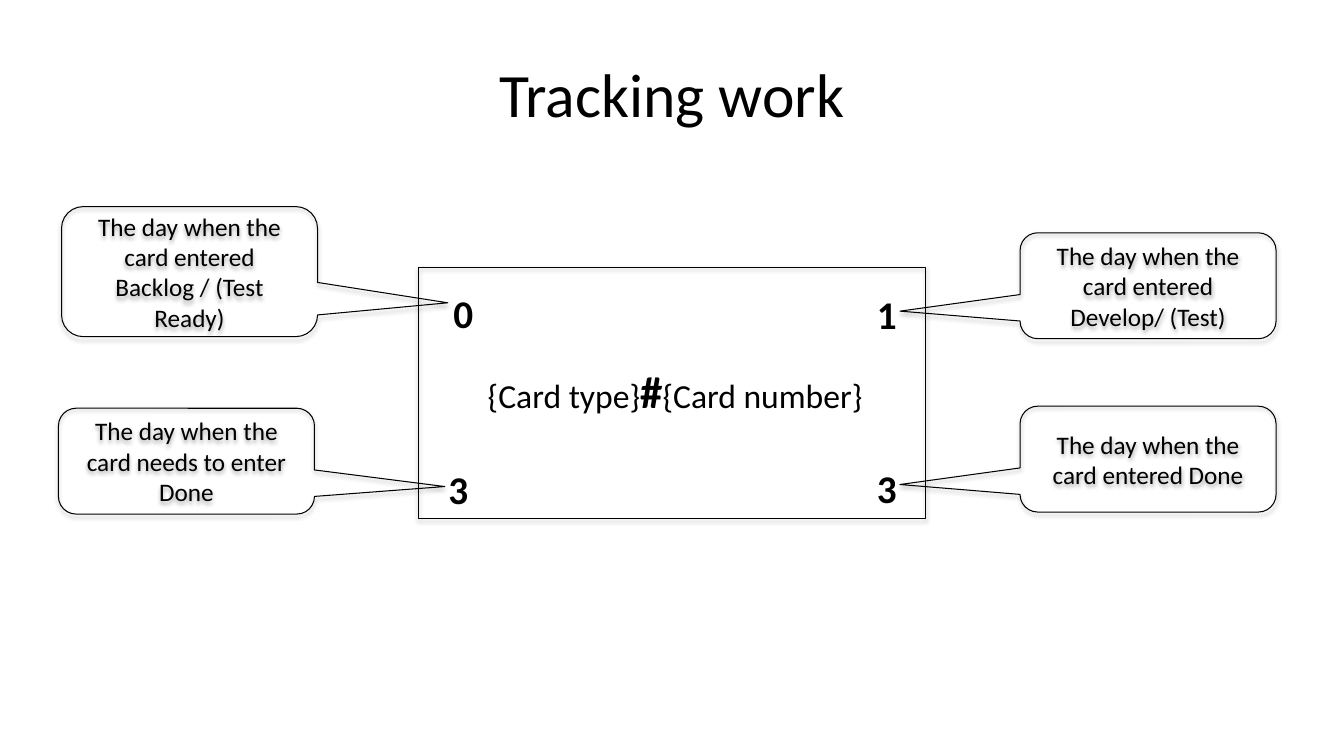
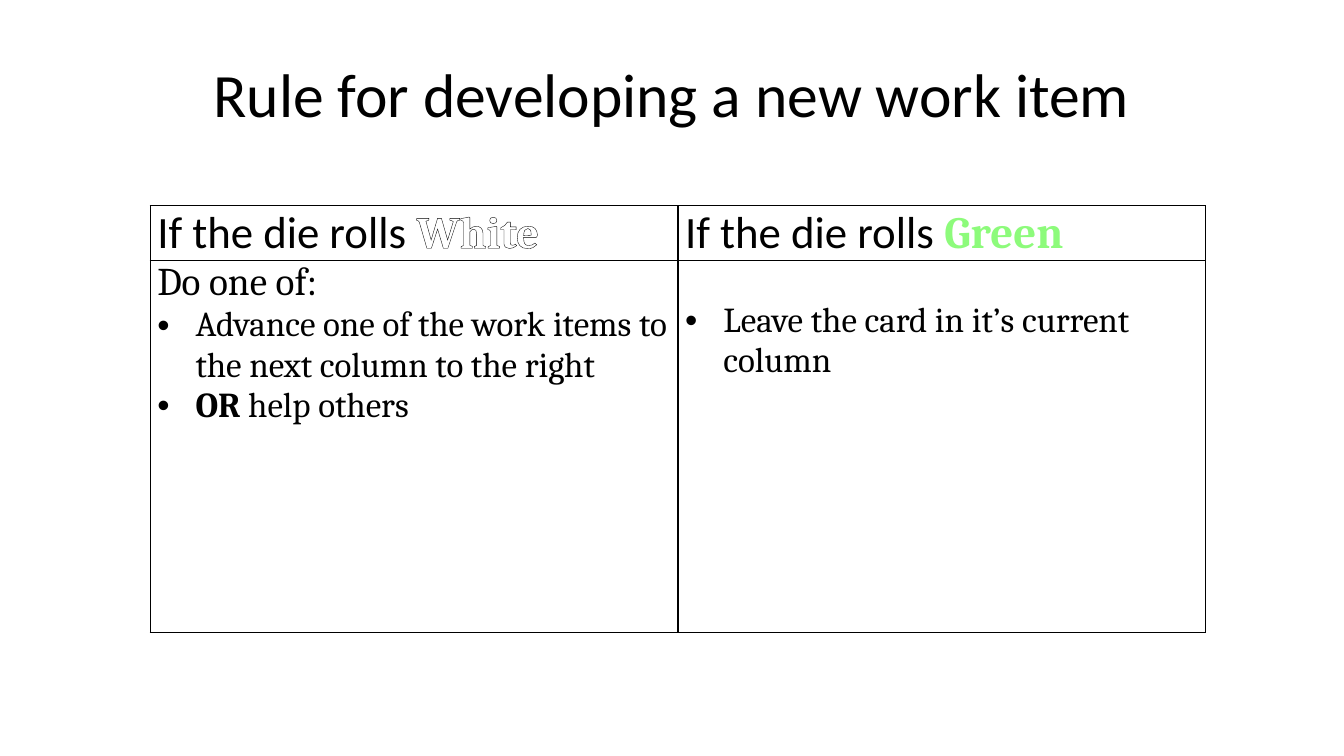
"""Build two slides: tracking work on a card, and the rule for a new work item."""
import dataclasses

import lxml.etree
import pptx
import pptx.dml.color
import pptx.enum.shapes
import pptx.enum.text
import pptx.oxml
import pptx.oxml.ns
import pptx.util


@dataclasses.dataclass(frozen=True)
class Theme:
    sans: str = "Calibri"
    serif: str = "Cambria"
    black: str = "000000"
    white: str = "FFFFFF"
    green: str = "8DFB7B"
    title: int = 44
    heading: int = 32
    lead: int = 28
    item: int = 25
    body: int = 24
    note: int = 18
    line: float = 0.75
    border: float = 1


theme = Theme()
namespace = pptx.oxml.ns.nsdecls("a")
qn = pptx.oxml.ns.qn
rgb = pptx.dml.color.RGBColor.from_string
center = pptx.enum.text.PP_ALIGN.CENTER
middle = pptx.enum.text.MSO_ANCHOR.MIDDLE

deck = pptx.Presentation()
deck.slide_width = pptx.util.Inches(13.33)
deck.slide_height = pptx.util.Inches(7.5)


def place(left, top, width, height):
    """Turn percentages of the slide into left, top, width and height."""
    across, down = deck.slide_width / 100, deck.slide_height / 100
    return [round(left * across), round(top * down), round(width * across), round(height * down)]


def style(font, size, name=theme.sans, bold=False, color=theme.black):
    """Format the font of a paragraph or a run."""
    font.size = pptx.util.Pt(size)
    font.name = name
    font.bold = bold
    font.color.rgb = rgb(color)


pages = []
for heading in ["Tracking work", "Rule for developing a new work item"]:
    page = deck.slides.add_slide(deck.slide_layouts[5])
    title = page.shapes.title
    title.left, title.top, title.width, title.height = place(5, 4, 90, 16.67)
    title.text_frame.text = heading
    title.text_frame.vertical_anchor = middle
    para = title.text_frame.paragraphs[0]
    para.alignment = center
    style(para.font, theme.title)
    pages.append(page)
tracking, rule = pages

rectangle = pptx.enum.shapes.MSO_SHAPE.RECTANGLE
callout = pptx.enum.shapes.MSO_SHAPE.ROUNDED_RECTANGULAR_CALLOUT
points_left, points_right = -0.969, 1.009
outlined = [
    (rectangle, (31.13, 35.33, 37.73, 33.2), None, ""),
    (callout, (75.9, 30.8, 19.05, 14), points_left, "The day when the card entered Develop/ (Test)"),
    (callout, (4.35, 54, 19.05, 14), points_right, "The day when the card needs to enter Done"),
    (callout, (4.58, 27.33, 19.05, 17.2), points_right, "The day when the card entered Backlog / (Test Ready)"),
    (callout, (75.9, 53.73, 19.05, 14), points_left, "The day when the card entered Done"),
]
for kind, area, tip, words in outlined:
    shape = tracking.shapes.add_shape(kind, *place(*area))
    shape.fill.background()
    shape.line.color.rgb = rgb(theme.black)
    shape.line.width = pptx.util.Pt(theme.line)
    shape.shadow.inherit = False
    shape._element.spPr.find(qn("a:effectLst")).append(pptx.oxml.parse_xml(
        f'<a:outerShdw {namespace} blurRad="40000" dist="23000" dir="5400000" rotWithShape="0">'
        f'<a:srgbClr val="{theme.black}"><a:alpha val="35000"/></a:srgbClr></a:outerShdw>'))
    if words:
        shape.adjustments[0] = tip
        shape.adjustments[1] = 0.24
        shape.text_frame.text = words
        shape.text_frame.vertical_anchor = middle
        para = shape.text_frame.paragraphs[0]
        para.alignment = center
        style(para.font, theme.note)

box = tracking.shapes.add_textbox(*place(35.55, 47.47, 31.58, 8.53))
box.text_frame.word_wrap = True
para = box.text_frame.paragraphs[0]
for words, size, bold in [
    ("{Card type}", theme.body, False),
    ("#", theme.heading, True),
    ("{Card number}", theme.body, False),
]:
    span = para.add_run()
    span.text = words
    style(span.font, size, bold=bold)

for digit, left, top in [("0", 33, 37.6), ("1", 64.5, 37.73), ("3", 32.63, 60.93), ("3", 64.5, 60.8)]:
    box = tracking.shapes.add_textbox(*place(left, top, 2.93, 7.6))
    box.text_frame.word_wrap = False
    box.text_frame.text = digit
    style(box.text_frame.paragraphs[0].font, theme.lead, bold=True)

table = rule.shapes.add_table(2, 2, *place(11.18, 27.2, 78.54, 56.4)).table
table.first_row = table.horz_banding = False
for row, share in zip(table.rows, [7.2, 49.2]):
    row.height = round(deck.slide_height * share / 100)
for cell in table.iter_cells():
    for side in ["lnL", "lnR", "lnT", "lnB"]:
        cell._tc.get_or_add_tcPr().append(pptx.oxml.parse_xml(
            f'<a:{side} {namespace} w="{pptx.util.Pt(theme.border)}"><a:solidFill>'
            f'<a:srgbClr val="{theme.black}"/></a:solidFill></a:{side}>'))
    cell.fill.solid()
    cell.fill.fore_color.rgb = rgb(theme.white)
    cell.margin_left = cell.margin_right = pptx.util.Inches(0.07)
    cell.margin_top = cell.margin_bottom = 0

for column, (name, color) in enumerate([("White", theme.white), ("Green", theme.green)]):
    para = table.cell(0, column).text_frame.paragraphs[0]
    span = para.add_run()
    span.text = "If the die rolls "
    style(span.font, theme.heading)
    span = para.add_run()
    span.text = name
    style(span.font, theme.heading, theme.serif, True, color)
    if color == theme.white:
        span.font._element.insert(0, pptx.oxml.parse_xml(
            f'<a:ln {namespace} w="{pptx.util.Pt(theme.line)}"><a:solidFill>'
            f'<a:srgbClr val="{theme.black}"/></a:solidFill></a:ln>'))

choices, waiting = table.cell(1, 0), table.cell(1, 1)
waiting.margin_top = pptx.util.Inches(0.4)
choices.text_frame.text = "Do one of:"
style(choices.text_frame.paragraphs[0].font, theme.lead, theme.serif)
for para, strong, words in [
    (choices.text_frame.add_paragraph(), "", "Advance one of the work items to the next column to the right"),
    (choices.text_frame.add_paragraph(), "OR", " help others"),
    (waiting.text_frame.paragraphs[0], "", "Leave the card in it’s current column"),
]:
    properties = para._p.get_or_add_pPr()
    indent = pptx.util.Inches(0.38)
    properties.set("marL", str(indent))
    properties.set("indent", str(-indent))
    lxml.etree.SubElement(properties, qn("a:buFont")).set("typeface", "Arial")
    lxml.etree.SubElement(properties, qn("a:buChar")).set("char", "•")
    style(para.font, theme.item, theme.serif)
    if strong:
        span = para.add_run()
        span.text = strong
        span.font.bold = True
    para.add_run().text = words

deck.save("out.pptx")
